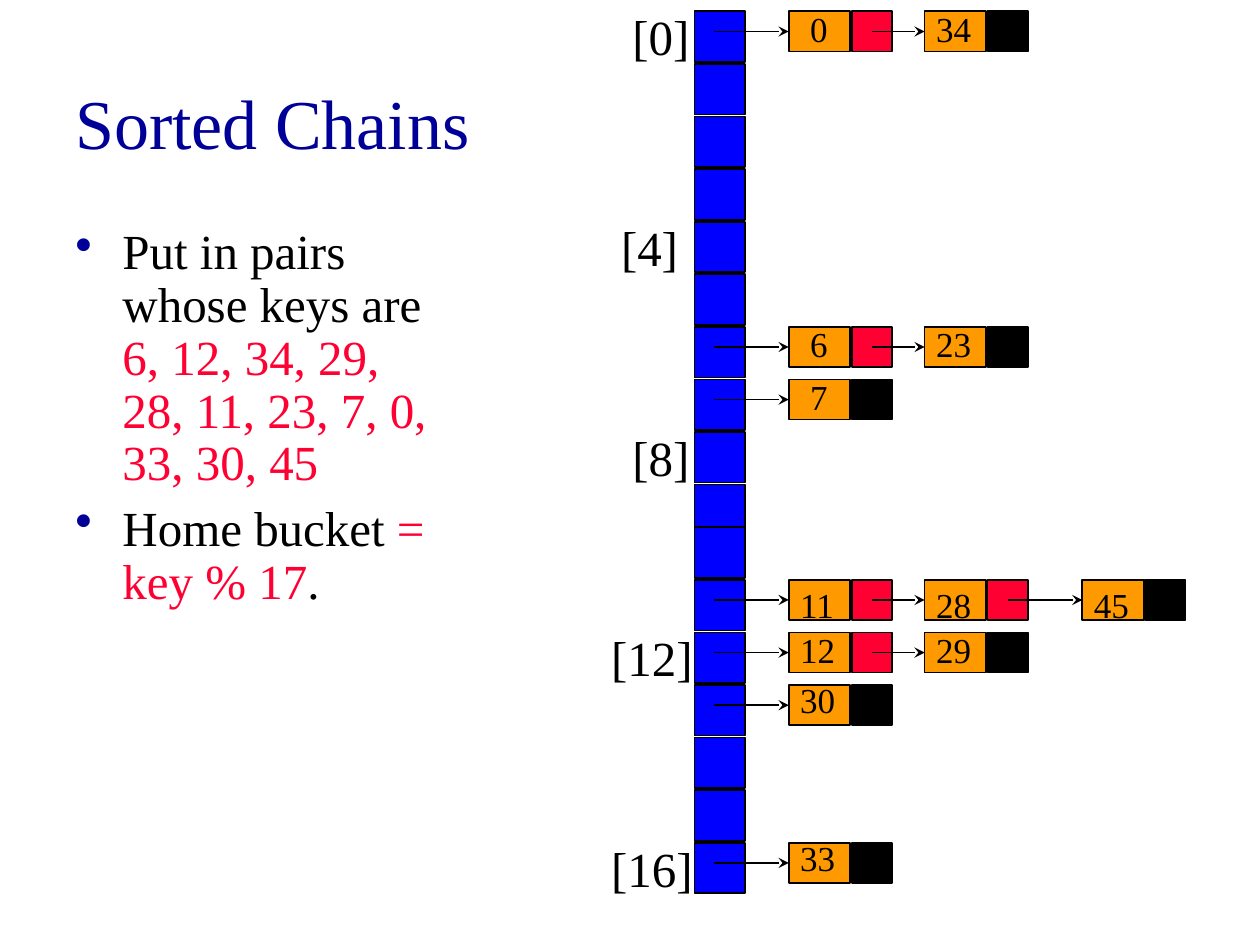
from dataclasses import dataclass

from lxml import etree
from pptx import Presentation
from pptx.dml.color import RGBColor
from pptx.enum.shapes import MSO_CONNECTOR, MSO_SHAPE
from pptx.enum.text import MSO_ANCHOR
from pptx.oxml.ns import qn
from pptx.util import Cm, Pt

RECT = MSO_SHAPE.RECTANGLE
LINE = MSO_CONNECTOR.STRAIGHT
TOP, BOTTOM = MSO_ANCHOR.TOP, MSO_ANCHOR.BOTTOM
LEFT_SIDE = 1

FONT = "Times New Roman"
HEX = {
    "ink": "000000",
    "navy": "000099",
    "slot": "0000FF",
    "key": "FF9900",
    "red": "FF0033",
}

# Table of buckets, in cm
SLOTS = 17
SLOT_X, SLOT_Y, SLOT, PITCH = 14.0, 0.23, 1.02, 1.06
LOW, SHIFT = 10, 0.2  # slots from LOW on sit a little higher

# Chain nodes, in cm
NODE_X = (15.9, 18.64, 21.82)
NODE_H, KEY_W, LINK_DX, LINK_W = 0.81, 1.24, 1.27, 0.81
TAIL_X = 14.4  # where the first arrow of a chain starts


@dataclass
class Chain:
    slot: int
    keys: tuple[int, ...]
    lift: float = 0.23  # how far the key text box starts above its node


@dataclass
class Label:
    slot: int
    x: float
    width: float


@dataclass
class Run:
    text: str
    color: str
    size: int = 28


CHAINS = (
    Chain(0, (0, 34)),
    Chain(6, (6, 23)),
    Chain(7, (7,)),
    Chain(11, (11, 28, 45), 0.08),
    Chain(12, (12, 29)),
    Chain(13, (30,), 0.28),
    Chain(16, (33,), 0.28),
)
LABELS = (
    Label(0, 12.5, 1.7),
    Label(4, 12.27, 1.7),
    Label(8, 12.5, 1.7),
    Label(12, 12.07, 2.74),
    Label(16, 12.07, 2.54),
)
POINTS = (
    (
        Run("Put in pairs whose keys are ", "ink"),
        Run("6, 12, 34, 29, 28, 11, 23, 7, 0, 33, 30, 45", "red"),
    ),
    (Run("Home bucket", "ink"), Run(" = key % 17", "red"), Run(".", "ink")),
)


def rgb(name: str) -> RGBColor:
    return RGBColor.from_string(HEX[name])


def slot_top(slot: int) -> float:
    return SLOT_Y + slot * PITCH - (SHIFT if slot >= LOW else 0)


def add_runs(para, runs) -> None:
    for item in runs:
        run = para.add_run()
        run.text = item.text
        run.font.name = FONT
        run.font.size = Pt(item.size)
        run.font.color.rgb = rgb(item.color)


def add_frame(slide, x: float, y: float, w: float, h: float, anchor=BOTTOM):
    frame = slide.shapes.add_textbox(Cm(x), Cm(y), Cm(w), Cm(h)).text_frame
    frame.word_wrap = True
    frame.vertical_anchor = anchor
    return frame


def add_text(slide, x: float, y: float, w: float, h: float, run: Run) -> None:
    add_runs(add_frame(slide, x, y, w, h).paragraphs[0], [run])


def add_box(slide, x: float, y: float, w: float, h: float, fill: str):
    box = slide.shapes.add_shape(RECT, Cm(x), Cm(y), Cm(w), Cm(h))
    box.shadow.inherit = False
    box.fill.solid()
    box.fill.fore_color.rgb = rgb(fill)
    box.line.color.rgb = rgb("ink")
    box.line.width = Pt(1)
    return box


def add_arrow(slide, x: float, y: float, node) -> None:
    """Draw an arrow from a point to the left side of a node."""
    arrow = slide.shapes.add_connector(LINE, Cm(x), Cm(y), node.left, Cm(y))
    arrow.end_connect(node, LEFT_SIDE)
    arrow.line.color.rgb = rgb("ink")
    arrow.line.width = Pt(1)
    etree.SubElement(arrow.line._get_or_add_ln(), qn("a:tailEnd"), type="stealth")
    etree.SubElement(arrow._element.spPr, qn("a:effectLst"))


def add_chain(slide, chain: Chain) -> None:
    top = slot_top(chain.slot)
    start = TAIL_X
    last = len(chain.keys) - 1
    for i, (x, key) in enumerate(zip(NODE_X, chain.keys)):
        node = add_box(slide, x, top, KEY_W, NODE_H, "key")
        link = "ink" if i == last else "red"
        add_box(slide, x + LINK_DX, top, LINK_W, NODE_H, link)
        add_arrow(slide, start, top + NODE_H / 2, node)
        inset = 0.18 if key < 10 else -0.02
        run = Run(str(key), "ink", 20)
        add_text(slide, x + inset, top - chain.lift, 1.27, 1.12, run)
        start = x + LINK_DX + LINK_W / 2


def add_points(slide) -> None:
    frame = add_frame(slide, 1.27, 4.45, 8.05, 13.13, TOP)
    for i, runs in enumerate(POINTS):
        para = frame.add_paragraph() if i else frame.paragraphs[0]
        para.line_spacing = 0.9
        para.space_before = Pt(7)
        props = para._p.get_or_add_pPr()
        props.set("marL", str(Cm(0.95)))
        props.set("indent", str(-Cm(0.95)))
        color = etree.SubElement(props, qn("a:buClr"))
        etree.SubElement(color, qn("a:srgbClr"), val=HEX["navy"])
        etree.SubElement(props, qn("a:buChar"), char="•")
        add_runs(para, runs)


def main() -> None:
    deck = Presentation()
    deck.slide_width, deck.slide_height = Cm(25.4), Cm(19.05)
    slide = deck.slides.add_slide(deck.slide_layouts[6])

    add_points(slide)
    add_text(slide, 1.27, 1.47, 8.69, 1.96, Run("Sorted Chains", "navy", 40))
    for slot in range(SLOTS):
        add_box(slide, SLOT_X, slot_top(slot), SLOT, SLOT, "slot")
    for label in LABELS:
        y = slot_top(label.slot) - SLOT_Y
        run = Run(f"[{label.slot}]", "ink")
        add_text(slide, label.x, y, label.width, 1.45, run)
    for chain in CHAINS:
        add_chain(slide, chain)

    deck.save("out.pptx")


if __name__ == "__main__":
    main()
